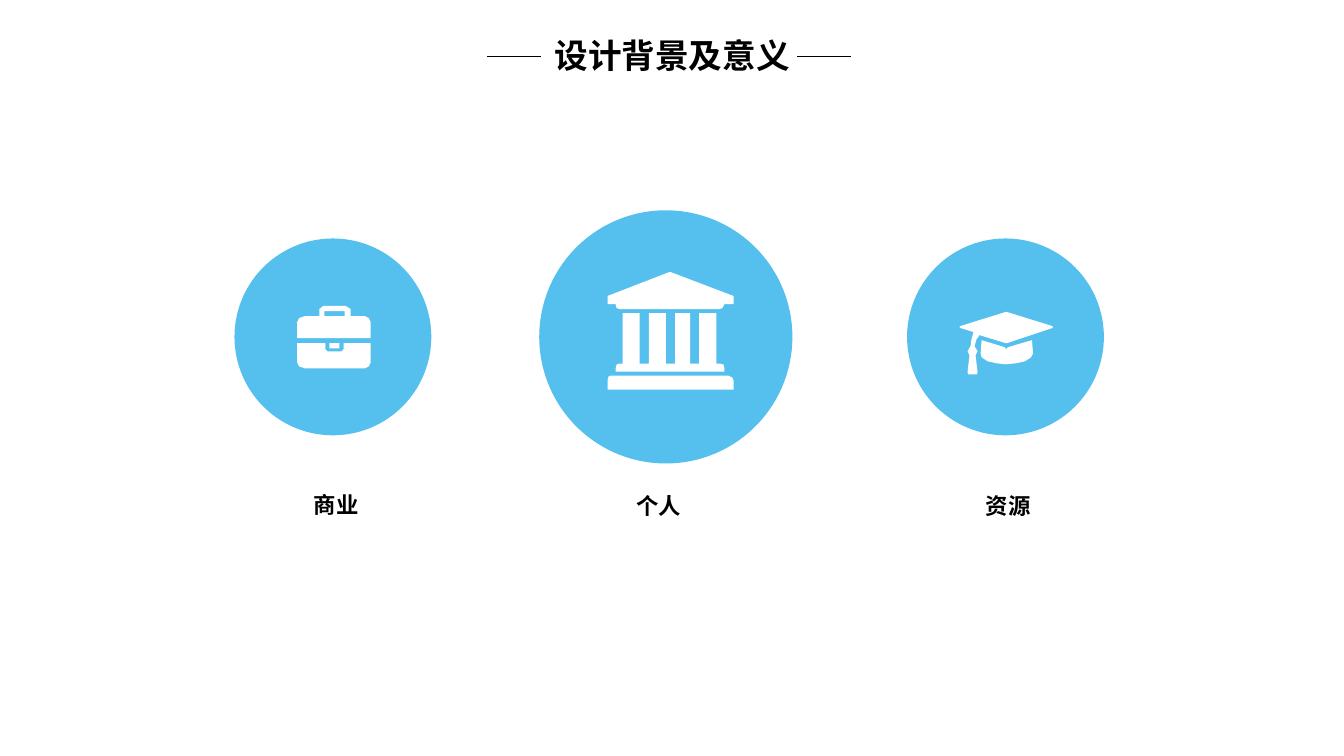
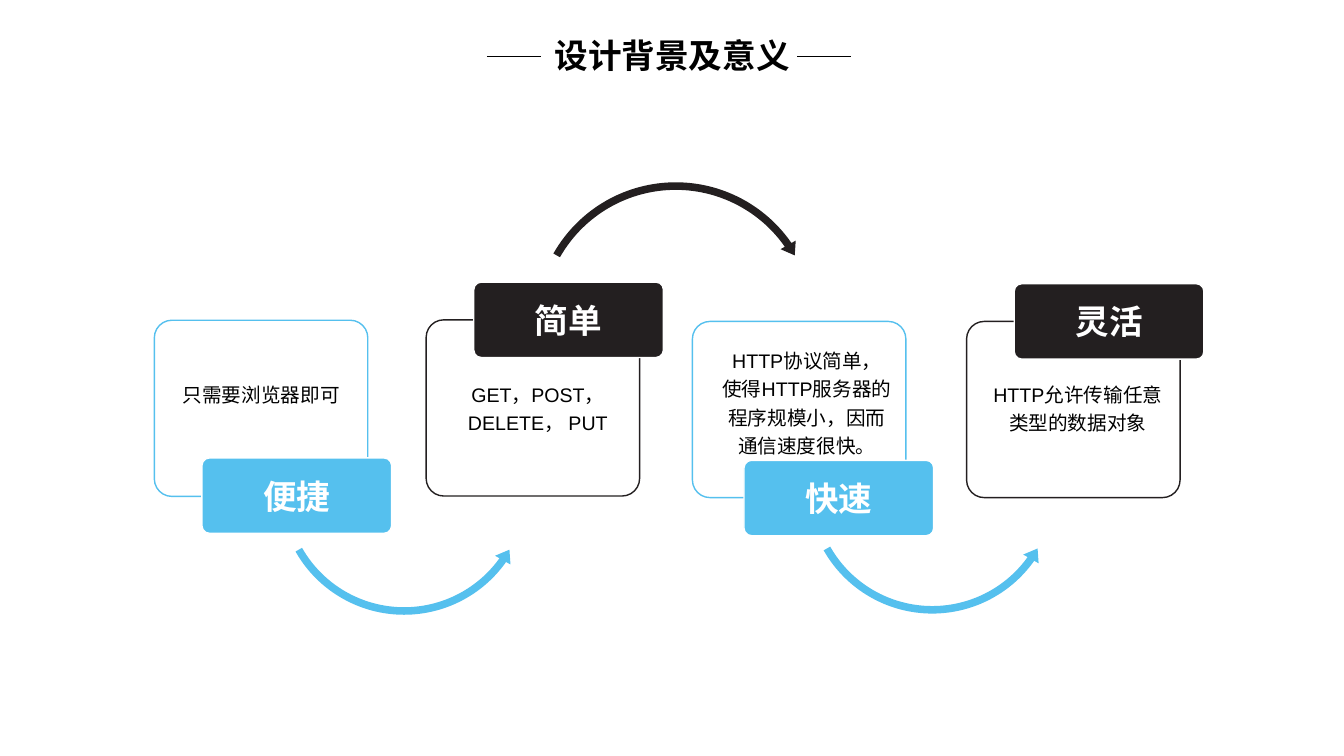
from lxml import etree
from pptx import Presentation
from pptx.dml.color import RGBColor
from pptx.enum.shapes import MSO_CONNECTOR, MSO_SHAPE
from pptx.enum.text import MSO_ANCHOR, MSO_AUTO_SIZE, PP_ALIGN
from pptx.oxml.ns import qn
from pptx.util import Cm, Pt

OVAL = MSO_SHAPE.OVAL
ROUNDED = MSO_SHAPE.ROUNDED_RECTANGLE
ARC_OVER = MSO_SHAPE.CIRCULAR_ARROW
ARC_UNDER = MSO_SHAPE.LEFT_CIRCULAR_ARROW
STRAIGHT = MSO_CONNECTOR.STRAIGHT
TOP, MIDDLE = MSO_ANCHOR.TOP, MSO_ANCHOR.MIDDLE
CENTER = PP_ALIGN.CENTER
NO_FIT = MSO_AUTO_SIZE.NONE

BLUE, DARK, WHITE, BLACK = "55C0EE", "231F20", "FFFFFF", "000000"
LATIN, CJK = "Arial", "Noto Sans CJK SC"
TITLE = "设计背景及意义"
TITLE_BOX = (11.58, 0.76, 10.72, 1.27)
ICON_UNIT = Cm(0.0254)

BRIEFCASE = [
    [(73, 32), (0, 32), (0, 16), (2, 12), (8, 10), (22, 10), (22, 3), (26, 0),
     (48, 0), (53, 3), (53, 10), (67, 10), (71, 12), (73, 16)],
    [(47, 10), (47, 5), (27, 5), (27, 10)],
    [(73, 56), (71, 60), (67, 62), (8, 62), (2, 60), (0, 56), (0, 37), (28, 37),
     (28, 43), (30, 45), (44, 45), (46, 43), (46, 37), (73, 37)],
    [(42, 42), (32, 42), (32, 37), (42, 37)],
]
BANK = [
    [(0, 24), (62, 0), (125, 24), (125, 32), (116, 32), (114, 36), (111, 37),
     (12, 37), (9, 36), (8, 32), (0, 32)],
    [(15, 41), (32, 41), (32, 91), (41, 91), (41, 41), (58, 41), (58, 91),
     (67, 91), (67, 41), (82, 41), (82, 91), (91, 91), (91, 41), (108, 41),
     (108, 91), (111, 91), (115, 92), (116, 96), (116, 99), (8, 99), (8, 96),
     (9, 92), (12, 91), (15, 91)],
    [(0, 117), (0, 108), (1, 104), (3, 103), (120, 103), (124, 105), (125, 108),
     (125, 117)],
]
GRADUATE_CAP = [
    [(92, 16), (47, 31), (46, 31), (20, 23), (17, 27), (15, 34), (18, 39),
     (16, 43), (18, 60), (17, 62), (9, 62), (8, 60), (10, 43), (8, 39), (11, 34),
     (12, 27), (14, 20), (1, 16), (0, 15), (1, 14), (46, 0), (47, 0), (92, 14),
     (93, 15)],
    [(73, 41), (71, 45), (65, 49), (56, 51), (46, 52), (37, 51), (28, 49),
     (22, 45), (21, 41), (22, 28), (45, 35), (46, 37), (48, 35), (72, 28)],
]

TOPICS = [
    ("商业", BRIEFCASE, 8.39, 4.96, (-0.9, -0.78), (8.47, 12.25)),
    ("个人", BANK, 16.78, 6.38, (-1.47, -1.64), (16.6, 12.27)),
    ("资源", GRADUATE_CAP, 25.34, 4.96, (-1.16, -0.63), (25.41, 12.27)),
]
CARDS = [
    ("便捷", "只需要浏览器即可", BLUE, (3.89, 8.07), (1.2, 3.47), (0.52, 1.46)),
    ("简单", "GET，POST， DELETE， PUT", DARK, (10.74, 8.06), (1.2, -0.95), (0.64, 1.46)),
    ("快速", "HTTP协议简单， 使得HTTP服务器的程序规模小，因而通信速度很快。",
     BLUE, (17.45, 8.1), (1.3, 3.5), (0.71, 0.58)),
    ("灵活", "HTTP允许传输任意类型的数据对象", DARK, (24.36, 8.1), (1.2, -0.95), (0.63, 1.42)),
]
UNDER_ADJ = (0.029, 3.512, 21.267, 90.245, 0.034)
OVER_ADJ = (0.026, 3.115, 195.129, 125.755, 0.03)
ARROWS = [
    (ARC_UNDER, 6.91, 9.07, 6.55, BLUE, UNDER_ADJ),
    (ARC_OVER, 13.36, 4.47, 7.34, DARK, OVER_ADJ),
    (ARC_UNDER, 20.22, 9.04, 6.55, BLUE, UNDER_ADJ),
]


def rgb(value):
    """Turn a hex string into a colour."""
    return RGBColor.from_string(value)


def paint(sp, fill, line=None):
    """Set fill and outline and drop the shadow."""
    sp.shadow.inherit = False
    sp.fill.solid()
    sp.fill.fore_color.rgb = rgb(fill)
    if line:
        sp.line.color.rgb = rgb(line)
        sp.line.width = Pt(1)
    else:
        sp.line.fill.background()


def add_preset(s, kind, box, fill, line=None, adjustments=()):
    """Add a painted preset shape in a box given in centimetres."""
    sp = s.shapes.add_shape(kind, *map(Cm, box))
    for i, value in enumerate(adjustments):
        sp.adjustments[i] = value
    paint(sp, fill, line)
    return sp


def write(sp, text, size, color, bold=False, name=LATIN, anchor=MIDDLE, spacing=None, inset=0):
    """Write one centred paragraph into a shape."""
    tf = sp.text_frame
    tf.word_wrap = True
    tf.auto_size = NO_FIT
    tf.vertical_anchor = anchor
    tf.margin_left = tf.margin_right = tf.margin_top = tf.margin_bottom = Cm(inset)
    p = tf.paragraphs[0]
    p.text = text
    p.alignment = CENTER
    if spacing:
        p.line_spacing = spacing
    p.font.name = name
    p.font.size = Pt(size)
    p.font.bold = bold
    p.font.color.rgb = rgb(color)
    latin = p._p.pPr.find(".//" + qn("a:latin"))
    latin.addnext(latin.makeelement(qn("a:ea"), {"typeface": CJK}))


def add_header(s, box):
    """Place the title with a short rule on either side."""
    left, top, width, height = box
    title = s.shapes.title
    title.left, title.top, title.width, title.height = map(Cm, box)
    write(title, TITLE, 24, BLACK, bold=True, name=CJK)
    y = Cm(top + 0.66)
    for x in (left + 0.69, left + 8.51):
        rule = s.shapes.add_connector(STRAIGHT, Cm(x), y, Cm(x + 1.36), y)
        rule.line.color.rgb = rgb(BLACK)
        rule.line.width = Pt(1)
        etree.SubElement(rule._element.spPr, qn("a:effectLst"))


def add_icon(s, left, top, outlines):
    """Draw a white icon from closed outlines."""
    fb = s.shapes.build_freeform(*outlines[0][0], scale=ICON_UNIT)
    for i, points in enumerate(outlines):
        if i:
            fb.move_to(*points[0])
        fb.add_line_segments(points[1:], close=True)
    paint(fb.convert_to_shape(Cm(left), Cm(top)), WHITE)


def add_topic(s, label, outlines, cx, size, icon_shift, label_at, cy=8.49):
    """Place a disc with its icon and the label below."""
    add_preset(s, OVAL, (cx - size / 2, cy - size / 2, size, size), BLUE)
    add_icon(s, cx + icon_shift[0], cy + icon_shift[1], outlines)
    x, y = label_at
    sp = s.shapes.add_textbox(Cm(x - 2.55), Cm(y), Cm(5.1), Cm(0.94))
    write(sp, label, 16, BLACK, bold=True)


def add_card(s, heading, body, color, at, tab_shift, text_shift):
    """Place an outlined card with its heading tab and body text."""
    x, y = at
    card = add_preset(s, ROUNDED, (x, y, 5.38, 4.44), WHITE, color, [0.1])
    fill = card._element.spPr.find(qn("a:solidFill"))
    etree.SubElement(fill[0], qn("a:alpha"), val="90000")
    tab = add_preset(s, ROUNDED, (x + tab_shift[0], y + tab_shift[1], 4.78, 1.9),
                     color, WHITE, [0.1])
    write(tab, heading, 24, WHITE, bold=True)
    sp = s.shapes.add_textbox(Cm(x + text_shift[0]), Cm(y + text_shift[1]), Cm(4.35), Cm(2.87))
    write(sp, body, 14, BLACK, anchor=TOP, spacing=1.2)


def new_slide(prs):
    """Add a title-only slide with the shared header."""
    s = prs.slides.add_slide(prs.slide_layouts[5])
    add_header(s, TITLE_BOX)
    return s


def topics_slide(prs):
    """Build the slide with three icon discs."""
    s = new_slide(prs)
    for topic in TOPICS:
        add_topic(s, *topic)


def cards_slide(prs):
    """Build the slide with four cards joined by curved arrows."""
    s = new_slide(prs)
    for kind, x, y, size, color, adjustments in ARROWS:
        add_preset(s, kind, (x, y, size, size), color, adjustments=adjustments)
    for card in CARDS:
        add_card(s, *card)


def main():
    """Build and save the presentation."""
    prs = Presentation()
    prs.slide_width, prs.slide_height = Cm(33.87), Cm(19.05)
    topics_slide(prs)
    cards_slide(prs)
    prs.save("out.pptx")


if __name__ == "__main__":
    main()
